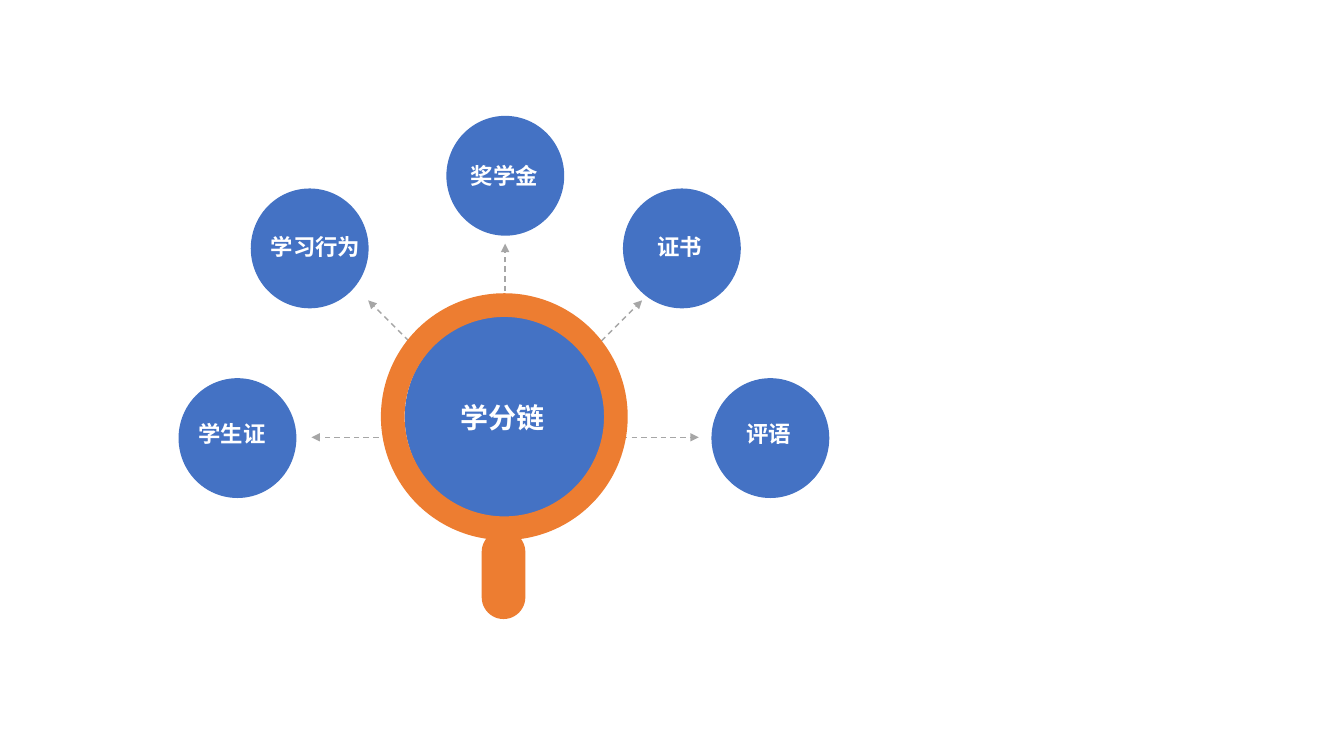
import math
from dataclasses import dataclass

import pptx
import pptx.dml.color
import pptx.enum.dml
import pptx.enum.shapes
import pptx.enum.text
import pptx.oxml
import pptx.oxml.ns
import pptx.util

Cm = pptx.util.Cm
Kind = pptx.enum.shapes.MSO_SHAPE
BLUE, ORANGE, GREY, WHITE = "4472C4", "ED7D31", "A6A6A6", "FFFFFF"
HUB_X, HUB_Y, REACH = 12.73, 11.02, 4.88


@dataclass
class Node:
    name: str
    angle: int
    left: float
    top: float
    text_x: float
    text_y: float
    text_w: float = 2.46


NODES = [
    Node("学生证", 180, 4.5, 9.53, 4.62, 10.44),
    Node("学习行为", 135, 6.32, 4.75, 6.38, 5.72, 3.15),
    Node("奖学金", 90, 11.25, 2.92, 11.48, 3.94),
    Node("证书", 45, 15.7, 4.75, 15.9, 5.72),
    Node("评语", 0, 17.93, 9.53, 18.14, 10.44),
]


def paint(target, color: str) -> None:
    target.solid()
    target.fore_color.rgb = pptx.dml.color.RGBColor.from_string(color)


def add_form(kind, left: float, top: float, width: float, height: float, color: str):
    form = slide.shapes.add_shape(kind, Cm(left), Cm(top), Cm(width), Cm(height))
    form.shadow.inherit = False
    paint(form.fill, color)
    form.line.fill.background()
    return form


def add_label(text: str, left: float, top: float, width: float, height: float,
              size: int, pad_x: float, pad_y: float) -> None:
    box = slide.shapes.add_textbox(Cm(left), Cm(top), Cm(width), Cm(height))
    frame = box.text_frame
    frame.word_wrap = True
    frame.auto_size = pptx.enum.text.MSO_AUTO_SIZE.SHAPE_TO_FIT_TEXT
    frame.margin_left = frame.margin_right = Cm(pad_x)
    frame.margin_top = frame.margin_bottom = Cm(pad_y)
    frame.text = text
    para = frame.paragraphs[0]
    para.alignment = pptx.enum.text.PP_ALIGN.CENTER
    para.font.name = "Arial"
    para.font.size = pptx.util.Pt(size)
    para.font.bold = True
    paint(para.font.fill, WHITE)


def add_ray(angle: int) -> None:
    turn = math.radians(angle)
    ray = slide.shapes.add_connector(
        pptx.enum.shapes.MSO_CONNECTOR.STRAIGHT, Cm(HUB_X), Cm(HUB_Y),
        Cm(HUB_X + REACH * math.cos(turn)), Cm(HUB_Y - REACH * math.sin(turn)))
    ray.line.width = pptx.util.Pt(1)
    paint(ray.line.fill, GREY)
    ray.line.dash_style = pptx.enum.dml.MSO_LINE.DASH
    props = ray.element.spPr
    head = pptx.oxml.parse_xml(
        f'<a:tailEnd {pptx.oxml.ns.nsdecls("a")} type="triangle"/>')
    props.find(pptx.oxml.ns.qn("a:ln")).append(head)
    props.append(pptx.oxml.parse_xml(f'<a:effectLst {pptx.oxml.ns.nsdecls("a")}/>'))


deck = pptx.Presentation()
deck.slide_width, deck.slide_height = Cm(33.87), Cm(19.05)
slide = deck.slides.add_slide(deck.slide_layouts[6])

# Arrows, behind the lens
for node in NODES:
    add_ray(node.angle)

# Magnifying glass
add_form(Kind.OVAL, 10.2, 7.9, 5.21, 5.21, BLUE)
ring = add_form(Kind.DONUT, 9.6, 7.39, 6.22, 6.22, ORANGE)
ring.adjustments[0] = 0.096
grip = add_form(Kind.ROUNDED_RECTANGLE, 12.14, 13.36, 1.1, 2.24, ORANGE)
grip.adjustments[0] = 0.5
add_label("学分链", 10.64, 9.96, 4.06, 1.12, 20, 0.25, 0.13)

# Outer circles with their labels
for node in NODES:
    add_form(Kind.OVAL, node.left, node.top, 2.97, 3.02, BLUE)
    add_label(node.name, node.text_x, node.text_y, node.text_w, 0.99, 16, 0.3, 0.15)

deck.save("out.pptx")
